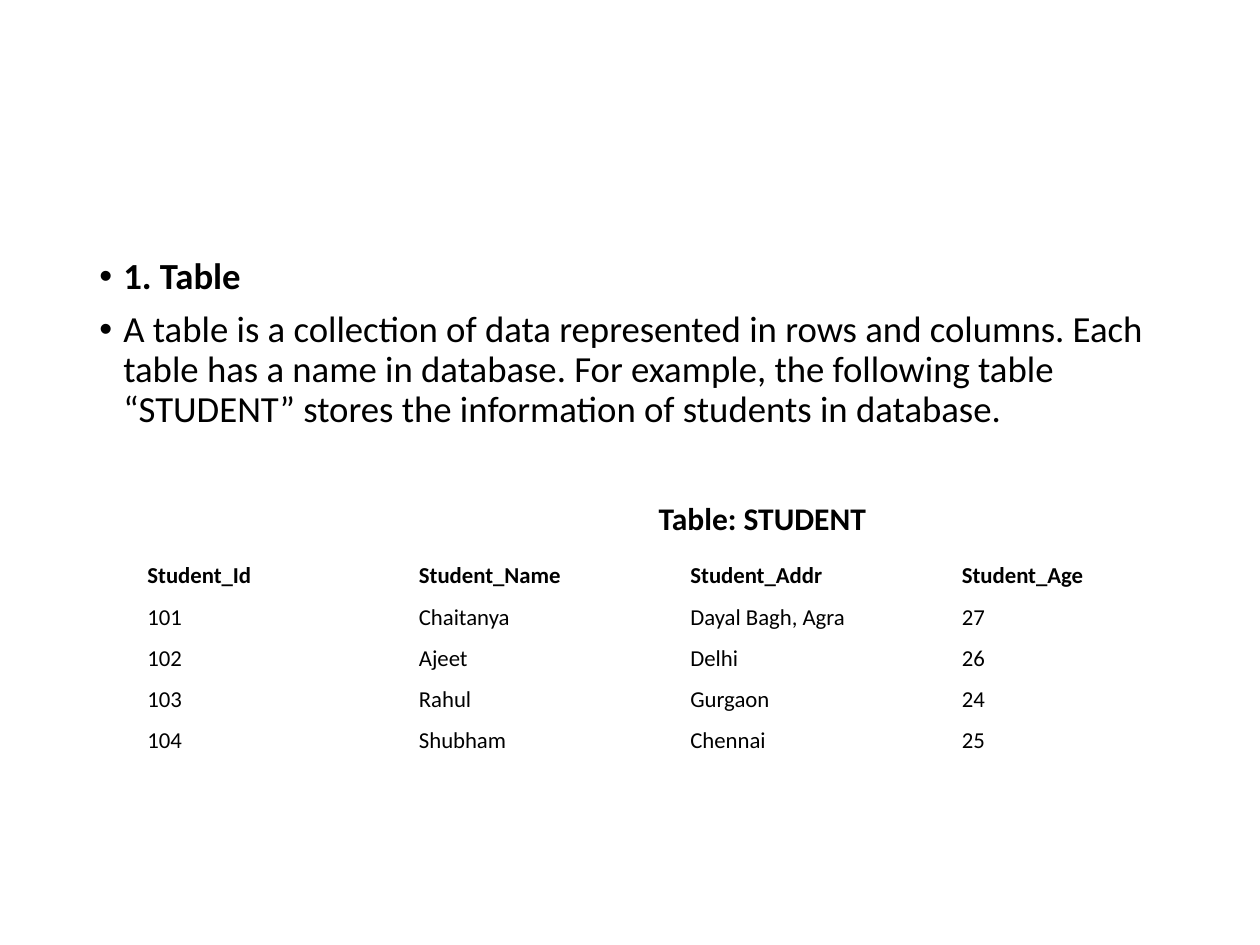
from lxml.etree import SubElement
from pptx import Presentation
from pptx.dml.color import RGBColor
from pptx.enum.text import MSO_ANCHOR, MSO_AUTO_SIZE
from pptx.oxml.ns import qn
from pptx.util import Inches, Pt

COLORS = {"text": "000000"}
FONT = "Calibri"


def style(para, size, bold):
    para.font.name = FONT
    para.font.size = Pt(size)
    para.font.bold = bold
    para.font.color.rgb = RGBColor.from_string(COLORS["text"])


deck = Presentation()
deck.slide_width = Inches(10)
deck.slide_height = Inches(7.5)
page = deck.slides.add_slide(deck.slide_layouts[6])

body_box = page.shapes.add_textbox(Inches(0.69), Inches(2), Inches(8.63), Inches(4.76))
body = body_box.text_frame
body.word_wrap = True
body.text = (
    "1. Table\n"
    "A table is a collection of data represented in rows and columns. "
    "Each table has a name in database. For example, the following table "
    "“STUDENT” stores the information of students in database."
)
for para, bold in zip(body.paragraphs, (True, False)):
    para.line_spacing = 0.9
    para.space_before = Pt(7.5)
    style(para, 21, bold)
    properties = para._p.get_or_add_pPr()
    properties.set("marL", str(Inches(0.19)))
    properties.set("indent", str(-Inches(0.19)))
    bullet_font = SubElement(properties, qn("a:buFont"), typeface="Arial")
    bullet = SubElement(properties, qn("a:buChar"), char="•")
    properties.find(qn("a:defRPr")).addprevious(bullet_font)
    bullet_font.addnext(bullet)

students = [
    ("Student_Id", "Student_Name", "Student_Addr", "Student_Age"),
    ("101", "Chaitanya", "Dayal Bagh, Agra", "27"),
    ("102", "Ajeet", "Delhi", "26"),
    ("103", "Rahul", "Gurgaon", "24"),
    ("104", "Shubham", "Chennai", "25"),
]
table = page.shapes.add_table(
    len(students), len(students[0]), Inches(1.07), Inches(4.41), Inches(8.62), Inches(1.63)
).table
table.first_row = False
table.horz_banding = False
for row_index, student in enumerate(students):
    for column_index, value in enumerate(student):
        cell = table.cell(row_index, column_index)
        cell.text = value
        cell.fill.background()
        cell.vertical_anchor = MSO_ANCHOR.MIDDLE
        style(cell.text_frame.paragraphs[0], 13, row_index == 0)

caption_box = page.shapes.add_textbox(Inches(5.13), Inches(3.91), Inches(1.86), Inches(0.4))
caption = caption_box.text_frame
caption.word_wrap = False
caption.auto_size = MSO_AUTO_SIZE.SHAPE_TO_FIT_TEXT
caption.vertical_anchor = MSO_ANCHOR.MIDDLE
caption.text = "Table: STUDENT"
style(caption.paragraphs[0], 18, True)

deck.save("out.pptx")
